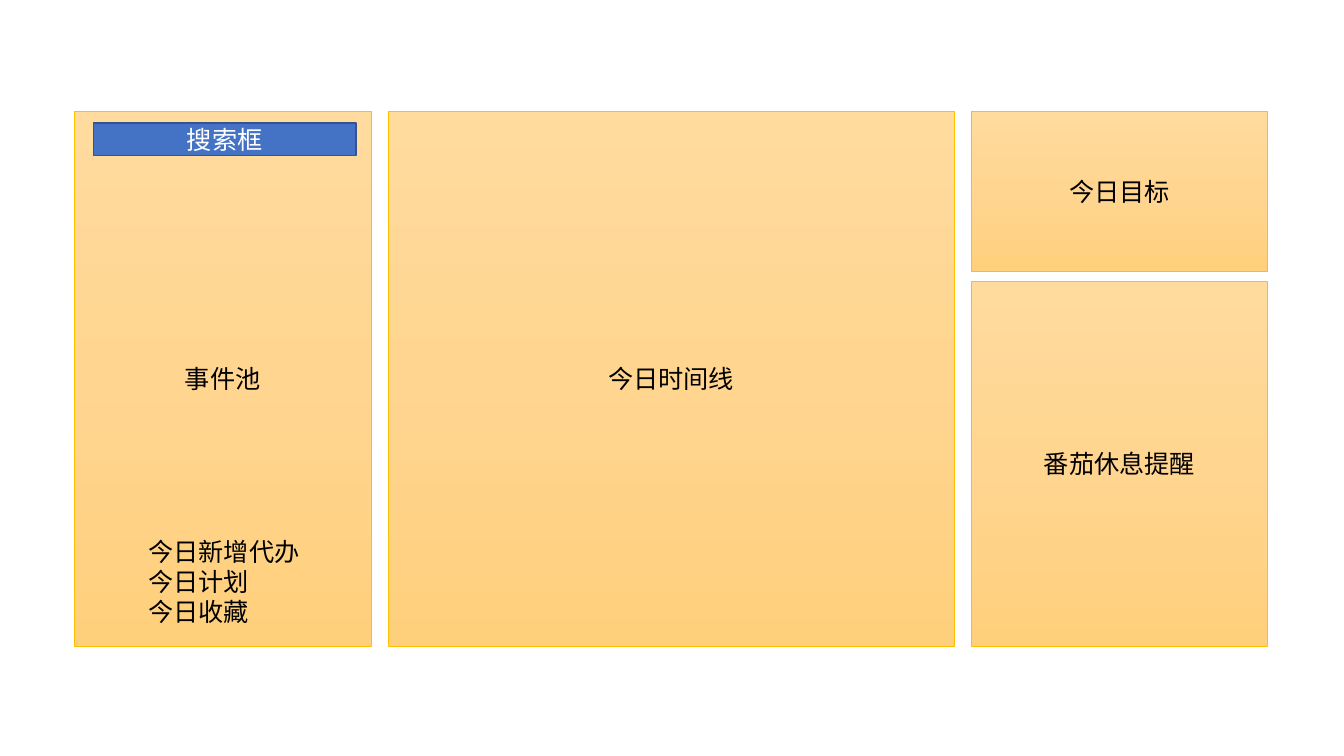
from copy import deepcopy

from lxml import etree
from pptx import Presentation
from pptx.dml.color import RGBColor
from pptx.enum.shapes import MSO_SHAPE
from pptx.enum.text import MSO_ANCHOR, MSO_AUTO_SIZE, PP_ALIGN
from pptx.oxml.ns import qn
from pptx.util import Pt

RECTANGLE = MSO_SHAPE.RECTANGLE
MIDDLE = MSO_ANCHOR.MIDDLE
FIT_SHAPE = MSO_AUTO_SIZE.SHAPE_TO_FIT_TEXT
CENTER, LEFT = PP_ALIGN.CENTER, PP_ALIGN.LEFT
FONT = "Noto Sans CJK SC"
GRADIENT = [(0, "FFDB9E"), (0.5, "FFD590"), (1, "FFD07C")]


def color(code):
    return RGBColor.from_string(code)


def write(box, lines, code, align):
    frame = box.text_frame
    frame.text = "\n".join(lines)
    for para in frame.paragraphs:
        para.alignment = align
        span = para.runs[0]
        for name, value in {"size": Pt(18), "name": FONT}.items():
            setattr(span.font, name, value)
        span.font.color.rgb = color(code)
        # Chinese characters take the East Asian typeface
        east_asian = etree.SubElement(span._r.get_or_add_rPr(), qn("a:ea"))
        east_asian.set("typeface", FONT)


deck = Presentation()
deck.slide_width, deck.slide_height = Pt(960), Pt(540)
page = deck.slides.add_slide(deck.slide_layouts[6])

# Three columns, the right one split in two
top, bottom = 79.2, 461.4
side_width, middle_width = 211.7, 404.6
column_gap, row_gap, goal_height = 12.1, 7.2, 114.5
pool_left = 53.3
timeline_left = pool_left + side_width + column_gap
right_left = timeline_left + middle_width + column_gap
reminder_top = top + goal_height + row_gap
panels = [
    ("事件池", pool_left, top, side_width, bottom - top),
    ("今日时间线", timeline_left, top, middle_width, bottom - top),
    ("番茄休息提醒", right_left, reminder_top, side_width, bottom - reminder_top),
    ("今日目标", right_left, top, side_width, goal_height),
]
for label, *bounds in panels:
    panel = page.shapes.add_shape(RECTANGLE, *map(Pt, bounds))
    panel.shadow.inherit = False
    panel.fill.gradient()
    panel.fill.gradient_angle = 270
    stop_list = panel._element.xpath(".//a:gsLst")[0]
    stop_list.insert(1, deepcopy(stop_list[0]))
    for stop, (position, code) in zip(panel.fill.gradient_stops, GRADIENT):
        stop.position = position
        stop.color.rgb = color(code)
    panel.line.color.rgb = color("FFC000")
    panel.line.width = Pt(0.5)
    panel.text_frame.vertical_anchor = MIDDLE
    write(panel, [label], "000000", CENTER)

# Search box
search = page.shapes.add_shape(RECTANGLE, Pt(66.7), Pt(88), Pt(187.5), Pt(23.2))
search.shadow.inherit = False
search.fill.solid()
search.fill.fore_color.rgb = color("4472C4")
search.line.color.rgb = color("325491")
search.line.width = Pt(1)
search.text_frame.vertical_anchor = MIDDLE
write(search, ["搜索框"], "FFFFFF", CENTER)

# List at the foot of the event pool
event_list = page.shapes.add_textbox(Pt(98.8), Pt(379.4), Pt(123.8), Pt(72.7))
event_list.text_frame.word_wrap = False
event_list.text_frame.auto_size = FIT_SHAPE
write(event_list, ["今日新增代办", "今日计划", "今日收藏"], "000000", LEFT)

deck.save("out.pptx")
